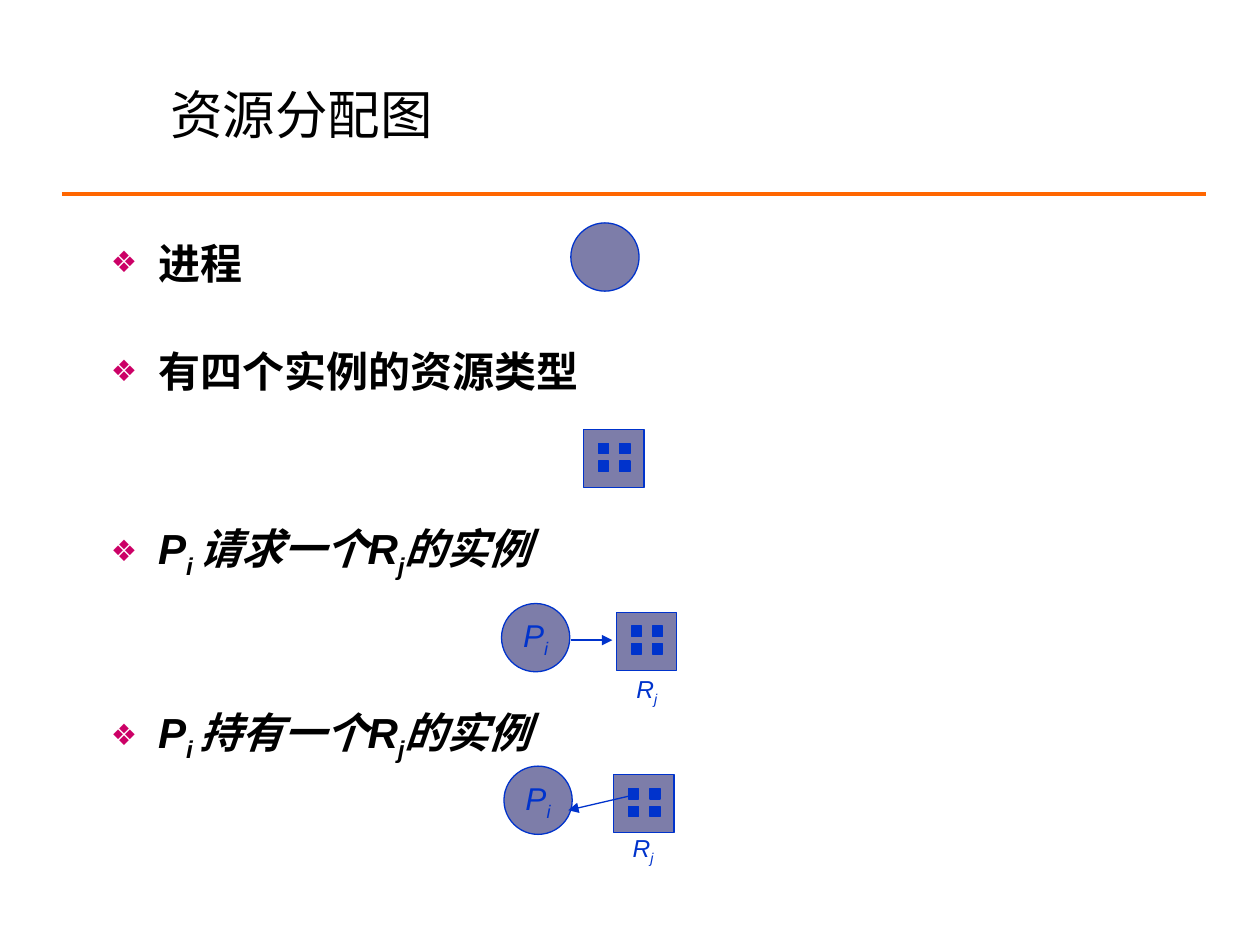
"""Build the slide on resource allocation graphs."""
from lxml import etree
from pptx import Presentation
from pptx.dml.color import RGBColor
from pptx.enum.shapes import MSO_CONNECTOR, MSO_SHAPE
from pptx.enum.text import MSO_ANCHOR, PP_ALIGN
from pptx.oxml.ns import qn
from pptx.util import Pt

OVAL, SQUARE = MSO_SHAPE.OVAL, MSO_SHAPE.RECTANGLE
STRAIGHT = MSO_CONNECTOR.STRAIGHT
MIDDLE = MSO_ANCHOR.MIDDLE
LEFT, CENTER = PP_ALIGN.LEFT, PP_ALIGN.CENTER
BLACK = RGBColor(0x00, 0x00, 0x00)
BLUE = RGBColor(0x00, 0x33, 0xCC)
SLATE = RGBColor(0x7D, 0x7D, 0xA9)
ORANGE = RGBColor(0xFF, 0x66, 0x00)
BULLET_COLOR = "CC0066"

TITLE = "资源分配图"
PLAIN = {"name": "Arial", "size": Pt(24), "bold": True}
ITALIC = {**PLAIN, "italic": True}
BULLETS = [
    (0, PLAIN, [("进程", False)]),
    (33, PLAIN, [("有四个实例的资源类型", False)]),
    (76, ITALIC, [("P", False), ("i ", True), ("请求一个R", False),
                  ("j", True), ("的实例", False)]),
    (76, ITALIC, [("P", False), ("i ", True), ("持有一个R", False),
                  ("j", True), ("的实例", False)]),
]
PROCESS = [("P", False), ("i", True)]
RESOURCE = [("R", False), ("j", True)]
PROCESSES = [(326.2, 127.4, []), (288, 437.8, PROCESS), (286.6, 344.9, PROCESS)]
RESOURCES = [(333.4, 245.5), (352.1, 349.9), (350.6, 442.8)]
RESOURCE_LABELS = [(356.4, 383), (354.2, 473.8)]
ARROWS = [(326.2, 365.8, 349.9, 365.8), (362.2, 454.3, 324.7, 463)]
RULE = (35.3, 110.9, 689, 110.9)
CIRCLE = 39
BLOCK = (34.6, 33.1)
DOT = 5.8
DOT_OFFSET = (8.6, 7.9)
DOT_PITCH = (12.2, 10.1)


def place(shape, left, top, width, height):
    shape.left, shape.top, shape.width, shape.height = map(Pt, (left, top, width, height))


def write(para, spans, formats, color):
    for name, value in formats.items():
        setattr(para.font, name, value)
    for text, lowered in spans:
        span = para.add_run()
        span.text = text
        for name, value in formats.items():
            setattr(span.font, name, value)
        span.font.color.rgb = color
        if lowered:
            span._r.get_or_add_rPr().set("baseline", "-25000")


def add_bullet(para):
    props = para._p.get_or_add_pPr()
    props.set("marL", str(Pt(27)))
    props.set("indent", str(Pt(-27)))
    color = etree.SubElement(props, qn("a:buClr"))
    etree.SubElement(color, qn("a:srgbClr"), val=BULLET_COLOR)
    etree.SubElement(props, qn("a:buSzPct"), val="70000")
    etree.SubElement(props, qn("a:buFont"), typeface="Arial")
    etree.SubElement(props, qn("a:buChar"), char="❖")


def add_figure(shapes, preset, left, top, width, height, fill):
    figure = shapes.add_shape(preset, *map(Pt, (left, top, width, height)))
    figure.shadow.inherit = False
    figure.fill.solid()
    figure.fill.fore_color.rgb = fill
    figure.line.color.rgb = BLUE
    figure.line.width = Pt(0.75)
    return figure


def add_label(shape, spans, size):
    frame = shape.text_frame
    frame.word_wrap = False
    frame.vertical_anchor = MIDDLE
    para = frame.paragraphs[0]
    para.alignment = CENTER
    write(para, spans, {"name": "Arial", "size": Pt(size), "italic": True}, BLUE)


def add_resource(page, left, top):
    group = page.shapes.add_group_shape()
    add_figure(group.shapes, SQUARE, left, top, *BLOCK, SLATE)
    for row in range(2):
        for column in range(2):
            add_figure(group.shapes, SQUARE,
                       left + DOT_OFFSET[0] + column * DOT_PITCH[0],
                       top + DOT_OFFSET[1] + row * DOT_PITCH[1], DOT, DOT, BLUE)


def add_line(page, ends, color, width, arrow):
    line = page.shapes.add_connector(STRAIGHT, *map(Pt, ends))
    line.line.color.rgb = color
    line.line.width = Pt(width)
    if arrow:
        etree.SubElement(line.line._get_or_add_ln(), qn("a:tailEnd"), type="triangle")
    etree.SubElement(line._element.spPr, qn("a:effectLst"))


def main():
    deck = Presentation()
    deck.slide_width, deck.slide_height = Pt(720), Pt(540)
    page = deck.slides.add_slide(deck.slide_layouts[5])
    add_line(page, RULE, ORANGE, 2.25, False)

    title = page.shapes.title
    place(title, 90, 33.1, 566, 63.4)
    title.text_frame.vertical_anchor = MIDDLE
    heading = title.text_frame.paragraphs[0]
    heading.alignment = LEFT
    write(heading, [(TITLE, False)], {"name": "Arial", "size": Pt(30)}, BLACK)

    body = page.shapes.add_textbox(*map(Pt, (56.2, 131.8, 553.7, 311)))
    frame = body.text_frame
    frame.word_wrap = True
    for index, (gap, formats, spans) in enumerate(BULLETS):
        para = frame.add_paragraph() if index else frame.paragraphs[0]
        para.line_spacing = Pt(29)
        para.space_before = Pt(gap)
        add_bullet(para)
        write(para, spans, formats, BLACK)

    for left, top, spans in PROCESSES:
        circle = add_figure(page.shapes, OVAL, left, top, CIRCLE, CIRCLE, SLATE)
        if spans:
            add_label(circle, spans, 18)
    for left, top in RESOURCES:
        add_resource(page, left, top)
    for left, top in RESOURCE_LABELS:
        add_label(page.shapes.add_textbox(*map(Pt, (left, top, 26.6, 23.8))), RESOURCE, 14)
    for ends in ARROWS:
        add_line(page, ends, BLUE, 0.75, True)

    deck.save("out.pptx")


if __name__ == "__main__":
    main()
